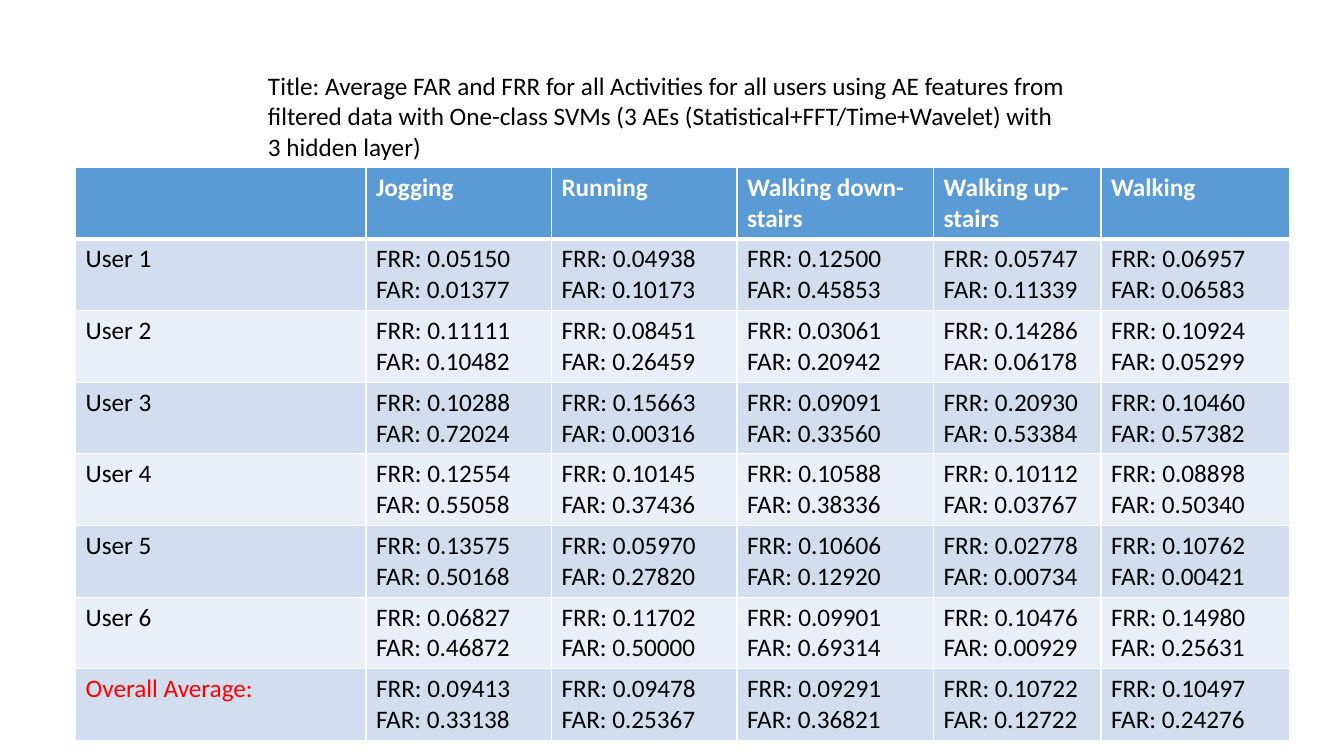
from lxml.etree import SubElement
from pptx import Presentation
from pptx.dml.color import RGBColor
from pptx.oxml.ns import qn
from pptx.util import Inches, Pt

TITLE = ("Title: Average FAR and FRR for all Activities for all users using AE features "
         "from filtered data with One-class SVMs (3 AEs (Statistical+FFT/Time+Wavelet) "
         "with 3 hidden layer)")
HEADERS = ["", "Jogging", "Running", "Walking down-stairs", "Walking up-stairs", "Walking"]
# Each row: label, then one (FRR, FAR) pair per activity
RESULTS = [
    ("User 1", [("0.05150", "0.01377"), ("0.04938", "0.10173"), ("0.12500", "0.45853"),
                ("0.05747", "0.11339"), ("0.06957", "0.06583")]),
    ("User 2", [("0.11111", "0.10482"), ("0.08451", "0.26459"), ("0.03061", "0.20942"),
                ("0.14286", "0.06178"), ("0.10924", "0.05299")]),
    ("User 3", [("0.10288", "0.72024"), ("0.15663", "0.00316"), ("0.09091", "0.33560"),
                ("0.20930", "0.53384"), ("0.10460", "0.57382")]),
    ("User 4", [("0.12554", "0.55058"), ("0.10145", "0.37436"), ("0.10588", "0.38336"),
                ("0.10112", "0.03767"), ("0.08898", "0.50340")]),
    ("User 5", [("0.13575", "0.50168"), ("0.05970", "0.27820"), ("0.10606", "0.12920"),
                ("0.02778", "0.00734"), ("0.10762", "0.00421")]),
    ("User 6", [("0.06827", "0.46872"), ("0.11702", "0.50000"), ("0.09901", "0.69314"),
                ("0.10476", "0.00929"), ("0.14980", "0.25631")]),
    ("Overall Average:", [("0.09413", "0.33138"), ("0.09478", "0.25367"),
                          ("0.09291", "0.36821"), ("0.10722", "0.12722"),
                          ("0.10497", "0.24276")]),
]
COLORS = {"header": "5B9BD5", "odd": "D2DEEF", "even": "EAEFF7",
          "white": "FFFFFF", "black": "000000", "red": "FF0000"}
COLUMN_WIDTHS = [2.88, 1.84, 1.84, 1.95, 1.66, 1.87]
ROW_HEIGHT = 0.67
TABLE_LEFT, TABLE_TOP = 0.75, 1.66


def write_text(frame, lines, color="black", bold=False, size=18, font="Calibri"):
    for index, line in enumerate(lines):
        para = frame.paragraphs[0] if index == 0 else frame.add_paragraph()
        para.font.size = Pt(size)
        span = para.add_run()
        span.text = line
        span.font.name = font
        span.font.size = Pt(size)
        span.font.bold = bold
        span.font.color.rgb = RGBColor.from_string(COLORS[color])


def style_cell(cell, fill, top=1, bottom=1):
    properties = cell._tc.get_or_add_tcPr()
    for side, width in {"L": 1, "R": 1, "T": top, "B": bottom}.items():
        border = SubElement(properties, qn(f"a:ln{side}"), w=str(Pt(width)))
        SubElement(SubElement(border, qn("a:solidFill")), qn("a:srgbClr"), val=COLORS["white"])
    cell.fill.solid()
    cell.fill.fore_color.rgb = RGBColor.from_string(COLORS[fill])


deck = Presentation()
deck.slide_width, deck.slide_height = Inches(13.33), Inches(7.5)
page = deck.slides.add_slide(deck.slide_layouts[6])

# Results table
rows = [[[header] for header in HEADERS]]
rows += [[[label]] + [[f"FRR: {frr}", f"FAR: {far}"] for frr, far in pairs]
         for label, pairs in RESULTS]
table = page.shapes.add_table(
    len(rows), len(HEADERS), Inches(TABLE_LEFT), Inches(TABLE_TOP),
    Inches(sum(COLUMN_WIDTHS)), Inches(ROW_HEIGHT * len(rows))).table
for column, width in zip(table.columns, COLUMN_WIDTHS):
    column.width = Inches(width)

for r, row in enumerate(rows):
    table.rows[r].height = Inches(ROW_HEIGHT)
    for c, lines in enumerate(row):
        cell = table.cell(r, c)
        if r == 0:
            style_cell(cell, "header", bottom=3)
            write_text(cell.text_frame, lines, color="white", bold=True)
        else:
            style_cell(cell, "odd" if r % 2 else "even", top=3 if r == 1 else 1)
            is_average_label = r == len(rows) - 1 and c == 0
            write_text(cell.text_frame, lines, color="red" if is_average_label else "black")

# Title above the table
title_box = page.shapes.add_textbox(Inches(2.56), Inches(0.65), Inches(8.13), Inches(1.01))
title_box.text_frame.word_wrap = True
write_text(title_box.text_frame, [TITLE])

deck.save("out.pptx")
